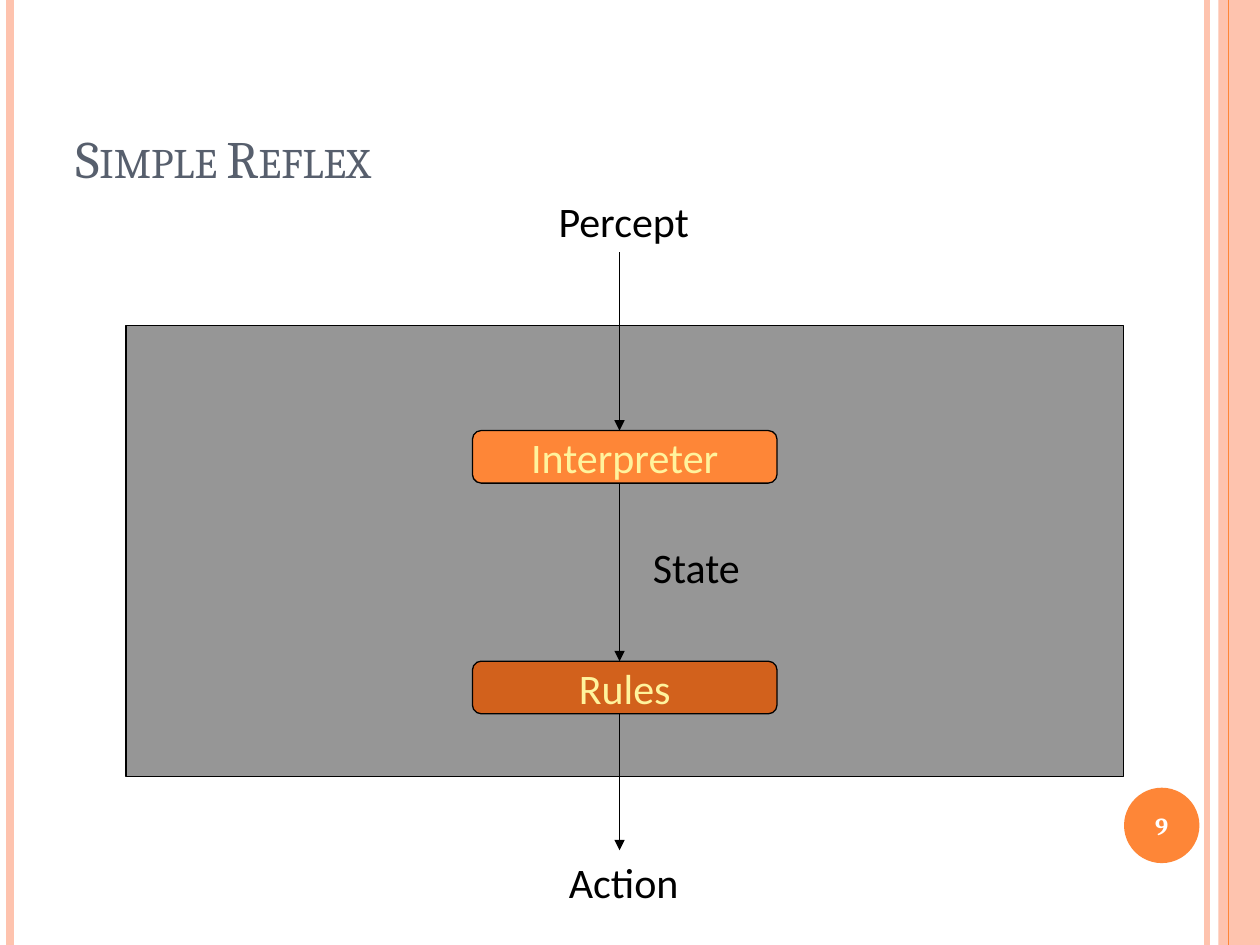
from collections import namedtuple

from lxml.etree import SubElement
from pptx import Presentation
from pptx.dml.color import RGBColor
from pptx.enum.shapes import MSO_CONNECTOR as Link, MSO_SHAPE as Shape
from pptx.enum.text import MSO_ANCHOR as Anchor, PP_ALIGN as Align
from pptx.oxml.ns import qn
from pptx.util import Cm, Pt

Box = namedtuple("Box", "left top width height")

BLACK = RGBColor(0x00, 0x00, 0x00)
WHITE = RGBColor(0xFF, 0xFF, 0xFF)
GRAY = RGBColor(0x96, 0x96, 0x96)
SLATE = RGBColor(0x57, 0x5F, 0x6D)
PEACH = RGBColor(0xFE, 0xC3, 0xAE)
ORANGE = RGBColor(0xFE, 0x86, 0x37)
RUST = RGBColor(0xD2, 0x61, 0x1C)
YELLOW = RGBColor(0xFF, 0xF3, 0x9D)

PAGE = Box(0, 0, 25.4, 19.05)
LABEL = {"name": "Calibri", "size": Pt(24)}
HEADING = {"name": "Cambria", "size": Pt(30), "bold": False}
NUMBER = {"name": "Cambria", "size": Pt(14), "bold": True}


def in_cm(box):
    return [Cm(value) for value in box]


def set_alpha(color_format, percent):
    color = color_format._xFill.find(qn("a:srgbClr"))
    SubElement(color, qn("a:alpha"), val=str(percent * 1000))


def write(shape, text, style, color, align=Align.LEFT, anchor=Anchor.TOP, wrap=True):
    frame = shape.text_frame
    for name, value in {"word_wrap": wrap, "vertical_anchor": anchor}.items():
        setattr(frame, name, value)
    para = frame.paragraphs[0]
    para.alignment = align
    span = para.add_run()
    span.text = text
    for name, value in style.items():
        setattr(span.font, name, value)
    span.font.color.rgb = color
    return span


def add_label(page, box, text, style=LABEL, color=BLACK, **layout):
    write(page.shapes.add_textbox(*in_cm(box)), text, style, color, **layout)


def add_block(page, kind, box, fill, outline=None):
    block = page.shapes.add_shape(kind, *in_cm(box))
    block.shadow.inherit = False
    block.fill.solid()
    block.fill.fore_color.rgb = fill
    if outline is None:
        block.line.fill.background()
    else:
        block.line.color.rgb = outline
        block.line.width = Pt(0.75)
    return block


def add_vertical(page, x, top, bottom, color=BLACK, width=0.75, arrow=False):
    line = page.shapes.add_connector(Link.STRAIGHT, Cm(x), Cm(top), Cm(x), Cm(bottom))
    line.line.color.rgb = color
    line.line.width = Pt(width)
    if arrow:
        SubElement(line.line._get_or_add_ln(), qn("a:tailEnd"), type="triangle")
    SubElement(line._element.spPr, qn("a:effectLst"))
    return line


def add_side_bars(page, box):
    """Stripes along the left and right edges."""
    right, bottom = box.left + box.width, box.top + box.height
    stripes = [(right - 1.07, PEACH, 3), (box.left + 0.2, PEACH, 4.5),
               (right - 0.43, ORANGE, 1.5)]
    for x, color, width in stripes:
        add_vertical(page, x, box.top, bottom, color, width)
    band = add_block(page, Shape.RECTANGLE, Box(right - 0.84, box.top, 0.84, box.height), PEACH)
    set_alpha(band.fill._fill, 87) if hasattr(band.fill._fill, "_xFill") else None
    add_vertical(page, right - 0.64, box.top, bottom, ORANGE)


def add_page_number(page, box, number):
    add_block(page, Shape.OVAL, box, ORANGE)
    add_label(page, box, number, NUMBER, WHITE, align=Align.CENTER, anchor=Anchor.MIDDLE)


def add_title(page, box, text):
    title = page.shapes.title
    title.left, title.top, title.width, title.height = in_cm(box)
    span = write(title, text, HEADING, SLATE, anchor=Anchor.BOTTOM)
    span.font._element.set("cap", "small")


def add_agent(page, box):
    """Percept, interpreter, rules and action, joined from top to bottom."""
    axis = box.left + 9.95
    bottom = box.top + box.height
    node_width, node_height = 6.14, 1.06
    node_left = box.left + (box.width - node_width) / 2
    interpreter_top, rules_top = box.top + 2.12, box.top + 6.77

    # Agent body
    add_block(page, Shape.RECTANGLE, box, GRAY, BLACK)

    # Processing steps
    for text, top, fill in [("Interpreter", interpreter_top, ORANGE),
                            ("Rules", rules_top, RUST)]:
        node = add_block(page, Shape.ROUNDED_RECTANGLE,
                         Box(node_left, top, node_width, node_height), fill, BLACK)
        write(node, text, LABEL, YELLOW, Align.CENTER, Anchor.MIDDLE, False)

    # Flow arrows
    for start, end in [(box.top - 1.48, interpreter_top),
                       (interpreter_top + node_height, rules_top),
                       (rules_top + node_height, bottom + 1.48)]:
        add_vertical(page, axis, start, end, arrow=True)

    # Flow labels
    for text, left, top in [("Percept", axis - 1.48, box.top - 2.75),
                            ("State", axis + 0.42, box.top + 4.23),
                            ("Action", axis - 1.27, bottom + 1.48)]:
        add_label(page, Box(left, top, 3.39, 1.27), text)


def main():
    deck = Presentation()
    deck.slide_width, deck.slide_height = Cm(PAGE.width), Cm(PAGE.height)
    page = deck.slides.add_slide(deck.slide_layouts[5])
    add_side_bars(page, PAGE)
    add_page_number(page, Box(22.66, 15.88, 1.52, 1.52), "9")
    add_title(page, Box(1.27, 0.76, 20.75, 3.18), "Simple Reflex")
    add_agent(page, Box(2.54, 6.56, 20.11, 9.1))
    deck.save("out.pptx")


if __name__ == "__main__":
    main()
